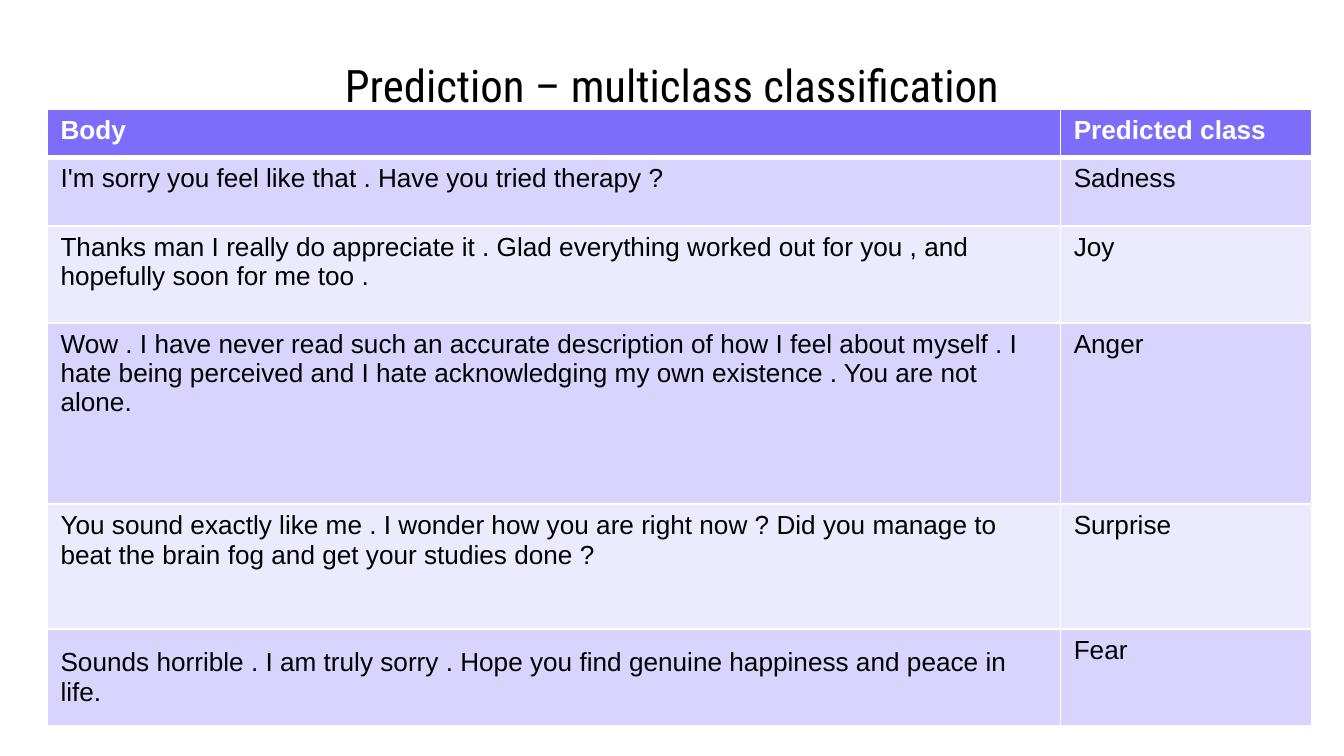
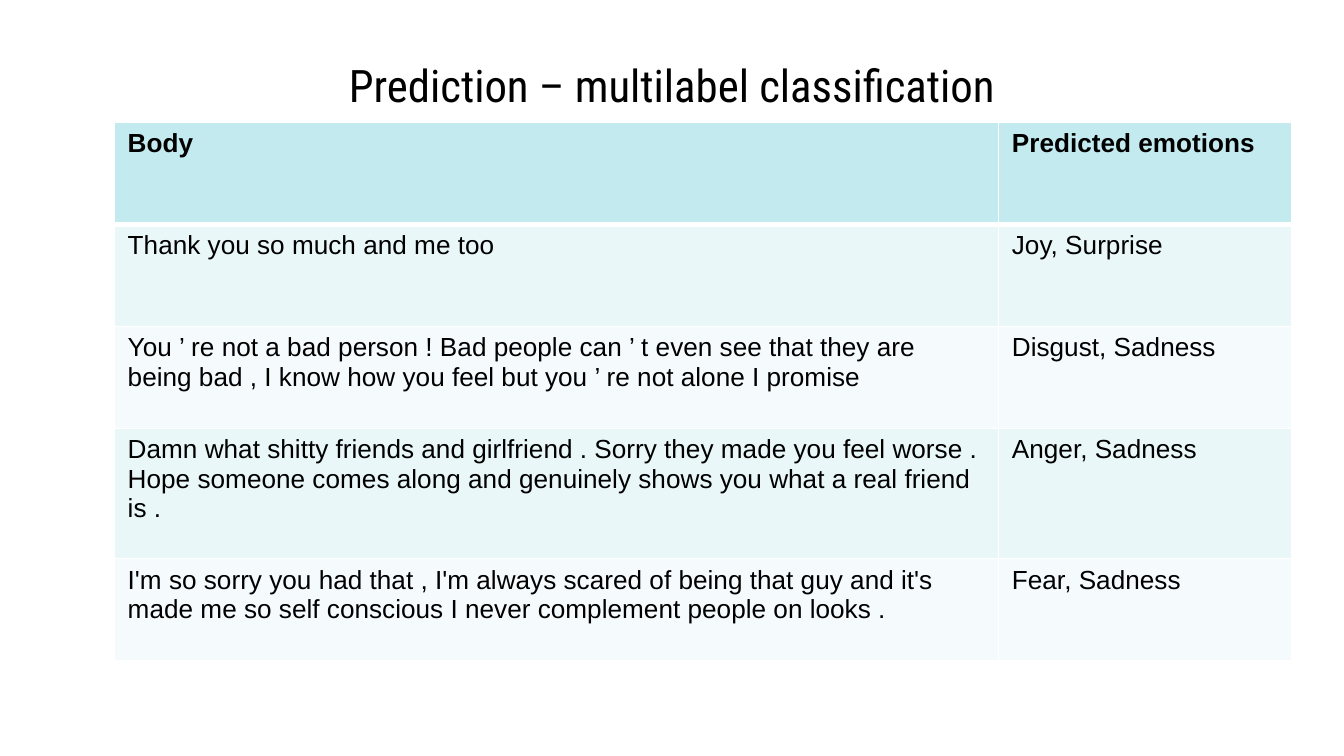
from dataclasses import dataclass

from lxml.etree import SubElement
from pptx import Presentation
from pptx.dml.color import RGBColor
from pptx.enum.text import MSO_ANCHOR, MSO_AUTO_SIZE, PP_ALIGN
from pptx.oxml.ns import qn
from pptx.util import Cm, Pt

WHITE = RGBColor(0xFF, 0xFF, 0xFF)
BLACK = RGBColor(0x00, 0x00, 0x00)
VIOLET = RGBColor(0x7E, 0x6C, 0xFB)
VIOLET_MID = RGBColor(0xD8, 0xD4, 0xFD)
VIOLET_PALE = RGBColor(0xEC, 0xEB, 0xFE)
AQUA = RGBColor(0xC3, 0xEB, 0xEF)
AQUA_MID = RGBColor(0xE9, 0xF7, 0xF9)
AQUA_PALE = RGBColor(0xF5, 0xFB, 0xFC)

TITLE_FONT = {"name": "Roboto Condensed", "size": Pt(24), "bold": False}
TABLE_FONT = {"name": "Arial", "size": Pt(14)}
TITLE_PLACE = {"left": Cm(1.27), "top": Cm(1.14), "width": Cm(22.86), "height": Cm(0.91)}
TITLE_FRAME = {
    "margin_left": Cm(0.25),
    "margin_top": Cm(0.25),
    "margin_right": Cm(0.25),
    "margin_bottom": Cm(0.25),
    "vertical_anchor": MSO_ANCHOR.MIDDLE,
    "word_wrap": True,
    "auto_size": MSO_AUTO_SIZE.NONE,
}
TITLE_ONLY = 5
THIN, THICK = Pt(1), Pt(3)


@dataclass
class Palette:
    header: RGBColor
    header_text: RGBColor
    bands: tuple


VIOLET_PALETTE = Palette(VIOLET, WHITE, (VIOLET_MID, VIOLET_PALE))
AQUA_PALETTE = Palette(AQUA, BLACK, (AQUA_MID, AQUA_PALE))

MULTICLASS_ROWS = [
    ("Body", "Predicted class"),
    ("I'm sorry you feel like that . Have you tried therapy ?", "Sadness"),
    ("Thanks man I really do appreciate it . Glad everything worked out for you , "
     "and hopefully soon for me too .", "Joy"),
    ("Wow . I have never read such an accurate description of how I feel about myself . "
     "I hate being perceived and I hate acknowledging my own existence . "
     "You are not alone.", "Anger"),
    ("You sound exactly like me . I wonder how you are right now ? "
     "Did you manage to beat the brain fog and get your studies done ?", "Surprise"),
    ("Sounds horrible . I am truly sorry . "
     "Hope you find genuine happiness and peace in life.", "Fear"),
]
MULTILABEL_ROWS = [
    ("Body", "Predicted emotions"),
    ("Thank you so much and me too", "Joy, Surprise"),
    ("You ’ re not a bad person ! Bad people can ’ t even see that they are being bad , "
     "I know how you feel but you ’ re not alone I promise", "Disgust, Sadness"),
    ("Damn what shitty friends and girlfriend . Sorry they made you feel worse . "
     "Hope someone comes along and genuinely shows you what a real friend is .",
     "Anger, Sadness"),
    ("I'm so sorry you had that , I'm always scared of being that guy and it's made me "
     "so self conscious I never complement people on looks .", "Fear, Sadness"),
]


def apply_format(target, values):
    for name, value in values.items():
        setattr(target, name, value)


def add_titled_page(deck, title):
    page = deck.slides.add_slide(deck.slide_layouts[TITLE_ONLY])
    box = page.shapes.title
    apply_format(box, TITLE_PLACE)
    apply_format(box.text_frame, TITLE_FRAME)
    para = box.text_frame.paragraphs[0]
    para.alignment = PP_ALIGN.CENTER
    span = para.add_run()
    span.text = title
    apply_format(span.font, TITLE_FONT)
    span.font.color.rgb = BLACK
    return page


def add_borders(cell, widths):
    properties = cell._tc.get_or_add_tcPr()
    for side, width in widths.items():
        line = SubElement(properties, qn(f"a:ln{side}"), w=str(width))
        fill = SubElement(line, qn("a:solidFill"))
        SubElement(fill, qn("a:srgbClr"), val=str(WHITE))


def fill_cell(cell, text, row_index, palette):
    is_header = row_index == 0
    add_borders(cell, {
        "L": THIN,
        "R": THIN,
        "T": THICK if row_index == 1 else THIN,
        "B": THICK if is_header else THIN,
    })
    cell.fill.solid()
    cell.fill.fore_color.rgb = (
        palette.header if is_header else palette.bands[(row_index - 1) % 2]
    )
    span = cell.text_frame.paragraphs[0].add_run()
    span.text = text
    apply_format(span.font, {**TABLE_FONT, "bold": is_header})
    span.font.color.rgb = palette.header_text if is_header else BLACK


def add_prediction_table(page, left, top, widths, heights, rows, palette):
    frame = page.shapes.add_table(
        len(rows), len(widths), Cm(left), Cm(top), Cm(sum(widths)), Cm(sum(heights))
    )
    table = frame.table
    for column, width in zip(table.columns, widths):
        column.width = Cm(width)
    for row_index, (height, texts) in enumerate(zip(heights, rows)):
        table.rows[row_index].height = Cm(height)
        for column_index, text in enumerate(texts):
            fill_cell(table.cell(row_index, column_index), text, row_index, palette)
    return table


def main():
    deck = Presentation()
    apply_format(deck, {"slide_width": Cm(25.4), "slide_height": Cm(14.29)})

    page = add_titled_page(deck, "Prediction – multiclass classification")
    table = add_prediction_table(
        page, 0.89, 2.06, (19.15, 4.75), (0.91, 1.3, 1.83, 3.43, 2.36, 1.83),
        MULTICLASS_ROWS, VIOLET_PALETTE,
    )
    table.cell(len(MULTICLASS_ROWS) - 1, 0).vertical_anchor = MSO_ANCHOR.MIDDLE

    page = add_titled_page(deck, "Prediction – multilabel classification")
    add_prediction_table(
        page, 2.16, 2.31, (16.71, 5.54), (1.93, 1.93, 1.93, 2.46, 1.93),
        MULTILABEL_ROWS, AQUA_PALETTE,
    )

    deck.save("out.pptx")


if __name__ == "__main__":
    main()
